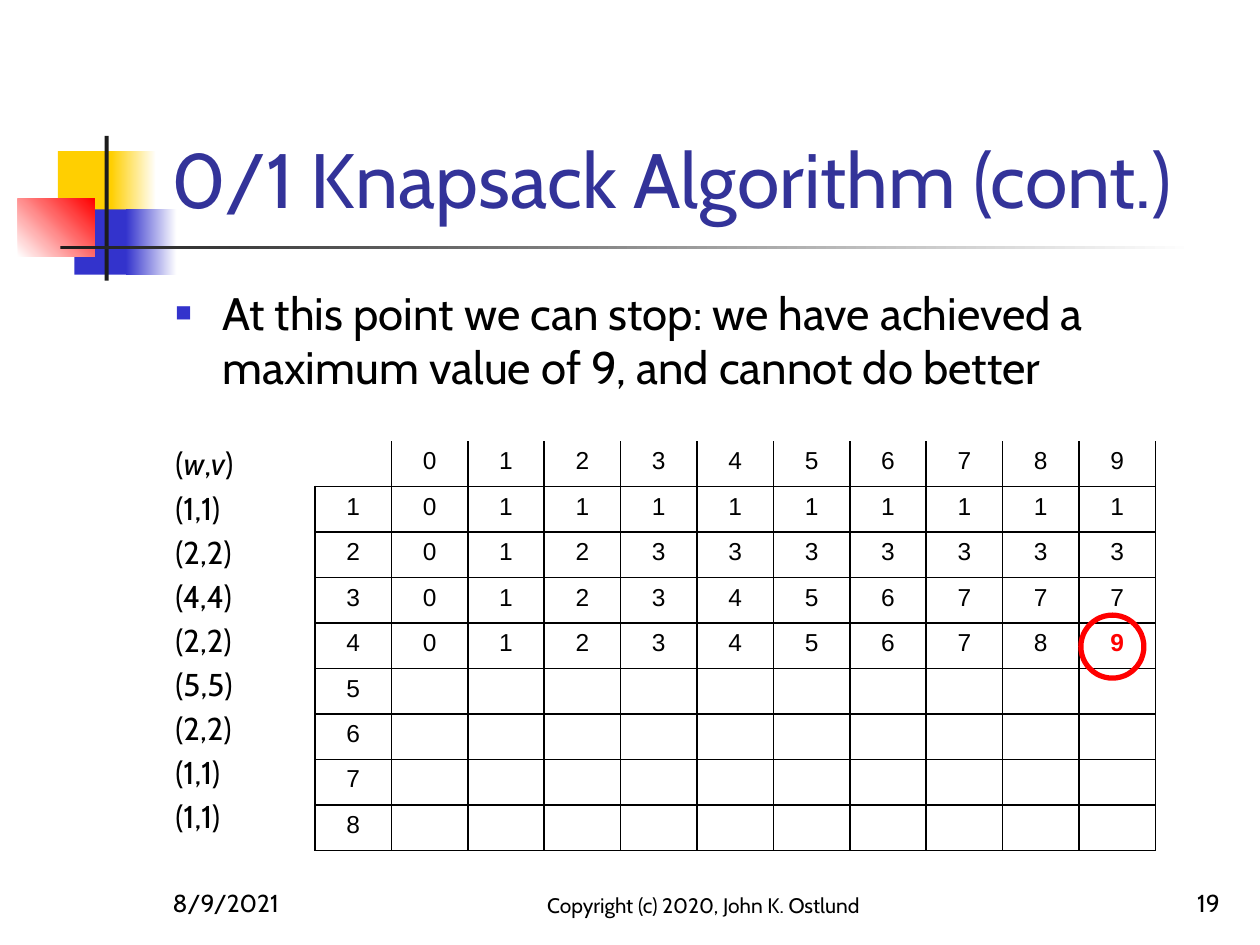
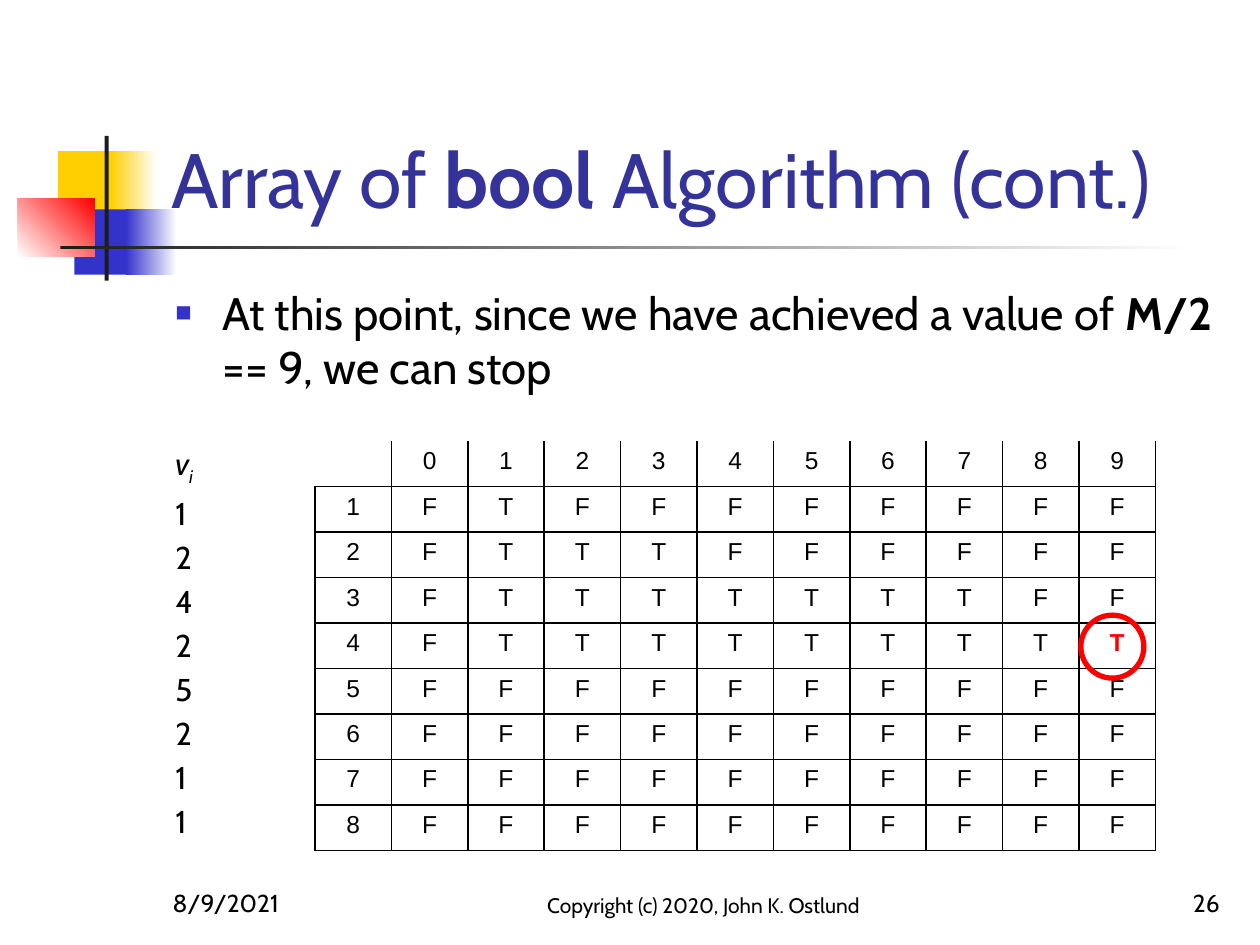
from collections import namedtuple

from lxml.etree import SubElement
from pptx import Presentation
from pptx.dml.color import RGBColor
from pptx.enum.shapes import MSO_SHAPE
from pptx.enum.text import MSO_ANCHOR, MSO_AUTO_SIZE, PP_ALIGN
from pptx.oxml.ns import qn
from pptx.util import Cm, Pt

# Shared colours and fonts
BLACK = RGBColor(0x00, 0x00, 0x00)
WHITE = RGBColor(0xFF, 0xFF, 0xFF)
CHARCOAL = RGBColor(0x1C, 0x1C, 0x1C)
YELLOW = RGBColor(0xFF, 0xCF, 0x01)
BLUE = RGBColor(0x33, 0x33, 0xCC)
RED = RGBColor(0xFF, 0x00, 0x00)
TITLE_BLUE = RGBColor(0x33, 0x33, 0x99)
TEXT_FONT = "Cabin"
TABLE_FONT = "Arial"

# Regions of a slide, in centimetres
Box = namedtuple("Box", "left top width height")
ORNAMENT_BOX = Box(0.36, 2.74, 23.72, 2.92)
TITLE_BOX = Box(3.2, 0.58, 21.64, 4.06)
BODY_BOX = Box(3.28, 5.61, 21.59, 11.43)
TABLE_BOX = Box(6.35, 8.89, 16.94, 8.26)
FOOTER_BOX = Box(3.23, 17.35, 21.61, 1.27)

DATE = "8/9/2021"
COPYRIGHT = "Copyright (c) 2020, John K. Ostlund"
CAPACITIES = "0123456789"
CIRCLED_ROW, CIRCLED_COLUMN = 4, 10

# Text is a list of (words, style); b bold, i italic, s subscript
KNAPSACK = {
    "title": [("0/1 Knapsack Algorithm (cont.)", "")],
    "point": [("At this point we can stop: we have achieved a "
               "maximum value of 9, and cannot do better", "")],
    "label": [("(", ""), ("w", "i"), (",", ""), ("v", "i"), (")", "")],
    "items": ["(1,1)", "(2,2)", "(4,4)", "(2,2)", "(5,5)", "(2,2)", "(1,1)", "(1,1)"],
    "rows": ["0111111111", "0123333333", "0123456777", "0123456789"] + [" " * 10] * 4,
    "number": "19",
}
BOOL_ARRAY = {
    "title": [("Array of ", ""), ("bool", "b"), (" Algorithm (cont.)", "")],
    "point": [("At this point, since we have achieved a value of ", ""),
              ("M/2", "b"), (" == 9, we can stop", "")],
    "label": [("v", "i"), ("i", "is")],
    "items": list("12425211"),
    "rows": ["FTFFFFFFFF", "FTTTFFFFFF", "FTTTTTTTFF", "FTTTTTTTTT"] + ["F" * 10] * 4,
    "number": "26",
}


def place(shape, box):
    shape.left, shape.top, shape.width, shape.height = map(Cm, box)


def write(paragraph, segments, size, color=BLACK, font=TEXT_FONT):
    for words, style in segments:
        run = paragraph.add_run()
        run.text = words
        run.font.name, run.font.size = font, Pt(size)
        run.font.bold, run.font.italic = "b" in style, "i" in style
        run.font.color.rgb = color
        if "s" in style:
            run.font._element.set("baseline", "-25000")


def set_bullet(paragraph, bulleted):
    properties = paragraph._p.get_or_add_pPr()
    indent = Cm(0.95) if bulleted else 0
    properties.set("marL", str(indent))
    properties.set("indent", str(-indent))
    if not bulleted:
        SubElement(properties, qn("a:buNone"))
        return
    color = SubElement(properties, qn("a:buClr"))
    SubElement(color, qn("a:srgbClr"), val=str(BLUE))
    SubElement(properties, qn("a:buSzPct"), val="60000")
    SubElement(properties, qn("a:buFont"), typeface=TABLE_FONT)
    SubElement(properties, qn("a:buChar"), char="■")


def add_ornament(slide, box):
    """Coloured squares and the two crossing bars beside the title."""
    # left, top, width, height, start colour, end colour, angle
    pieces = [
        (0.81, 0.31, 1.22, 1.32, YELLOW, None, 0),
        (1.88, 0.31, 0.91, 1.32, YELLOW, WHITE, 0),
        (1.14, 1.48, 1.17, 1.32, BLUE, None, 0),
        (2.18, 1.48, 1.02, 1.32, BLUE, WHITE, 0),
        (0, 1.27, 1.55, 1.17, WHITE, RED, 45),
        (1.75, 0, 0.08, 2.92, CHARCOAL, None, 0),
        (0.86, 2.21, 22.86, 0.08, CHARCOAL, WHITE, 0),
    ]
    for left, top, width, height, start, end, angle in pieces:
        shape = slide.shapes.add_shape(
            MSO_SHAPE.RECTANGLE, Cm(box.left + left), Cm(box.top + top), Cm(width), Cm(height))
        shape.shadow.inherit = False
        shape.line.fill.background()
        if end is None:
            shape.fill.solid()
            shape.fill.fore_color.rgb = start
        else:
            shape.fill.gradient()
            shape.fill.gradient_angle = angle
            for stop, color in zip(shape.fill.gradient_stops, (start, end)):
                stop.color.rgb = color


def fill_title(slide, box, segments):
    title = slide.shapes.title
    place(title, box)
    title.text_frame.auto_size = MSO_AUTO_SIZE.NONE
    title.text_frame.vertical_anchor = MSO_ANCHOR.BOTTOM
    paragraph = title.text_frame.paragraphs[0]
    paragraph.alignment = PP_ALIGN.LEFT
    write(paragraph, segments, 44, TITLE_BLUE)
    slide.shapes._spTree.append(title._element)  # in front of the ornament


def fill_body(slide, box, content):
    """One bulleted point, then the item labels beside the table."""
    body = slide.placeholders[1]
    place(body, box)
    text_frame = body.text_frame
    text_frame.auto_size = MSO_AUTO_SIZE.NONE
    point = text_frame.paragraphs[0]
    set_bullet(point, True)
    point.space_before = Pt(0)
    write(point, content["point"], 26)

    labels = [content["label"]] + [[(item, "")] for item in content["items"]]
    for index, segments in enumerate(labels):
        paragraph = text_frame.add_paragraph()
        set_bullet(paragraph, False)
        paragraph.space_before = Pt(0 if index else 29)
        paragraph.space_after = Pt(3.6)
        write(paragraph, segments, 18)


def set_borders(cell, drawn_sides):
    properties = cell._tc.get_or_add_tcPr()
    for side in "LRTB":
        line = SubElement(properties, qn(f"a:ln{side}"), w=str(Pt(1)))
        if side in drawn_sides:
            fill = SubElement(line, qn("a:solidFill"))
            SubElement(fill, qn("a:srgbClr"), val=str(BLACK))
        else:
            SubElement(line, qn("a:noFill"))


def add_value_table(slide, box, value_rows):
    """Capacities across, item numbers down, with the final answer circled."""
    rows = [" " + CAPACITIES]
    rows += [f"{number}{values}" for number, values in enumerate(value_rows, 1)]
    table = slide.shapes.add_table(len(rows), len(rows[0]), *map(Cm, box)).table
    table.first_row = table.horz_banding = False
    column_width, row_height = box.width / len(rows[0]), box.height / len(rows)
    for column in table.columns:
        column.width = Cm(column_width)
    for row in table.rows:
        row.height = Cm(row_height)

    for row_index, values in enumerate(rows):
        for column_index, value in enumerate(values):
            cell = table.cell(row_index, column_index)
            if row_index:
                set_borders(cell, "LRTB")
            else:
                set_borders(cell, "LRB" if column_index else "RB")
            cell.fill.background()
            cell.margin_bottom = 0
            paragraph = cell.text_frame.paragraphs[0]
            paragraph.alignment = PP_ALIGN.CENTER
            circled = (row_index, column_index) == (CIRCLED_ROW, CIRCLED_COLUMN)
            if value.strip():
                write(paragraph, [(value, "b" if circled else "")], 14,
                      RED if circled else BLACK, TABLE_FONT)
            else:
                SubElement(paragraph._p, qn("a:endParaRPr"), sz="1400")

    circle = slide.shapes.add_shape(
        MSO_SHAPE.OVAL,
        Cm(box.left + CIRCLED_COLUMN * column_width + 0.04),
        Cm(box.top + CIRCLED_ROW * row_height - 0.16),
        Cm(1.27), Cm(1.27))
    circle.shadow.inherit = False
    circle.fill.background()
    circle.line.color.rgb = RED
    circle.line.width = Pt(3)


def add_footer(slide, box, number):
    # left, width, words, size, alignment
    parts = [
        (0, 5.28, DATE, 14, PP_ALIGN.LEFT),
        (6.93, 8.05, COPYRIGHT, 12, PP_ALIGN.CENTER),
        (box.width - 5.28, 5.28, number, 14, PP_ALIGN.RIGHT),
    ]
    for left, width, words, size, alignment in parts:
        text_frame = slide.shapes.add_textbox(
            Cm(box.left + left), Cm(box.top), Cm(width), Cm(box.height)).text_frame
        text_frame.word_wrap = True
        text_frame.vertical_anchor = MSO_ANCHOR.BOTTOM
        paragraph = text_frame.paragraphs[0]
        paragraph.alignment = alignment
        write(paragraph, [(words, "")], size)


def add_algorithm_slide(presentation, content):
    slide = presentation.slides.add_slide(presentation.slide_layouts[1])
    add_ornament(slide, ORNAMENT_BOX)
    fill_title(slide, TITLE_BOX, content["title"])
    fill_body(slide, BODY_BOX, content)
    add_footer(slide, FOOTER_BOX, content["number"])
    add_value_table(slide, TABLE_BOX, content["rows"])


def main():
    presentation = Presentation()
    presentation.slide_width, presentation.slide_height = Cm(25.4), Cm(19.05)
    for content in (KNAPSACK, BOOL_ARRAY):
        add_algorithm_slide(presentation, content)
    presentation.save("out.pptx")


if __name__ == "__main__":
    main()
